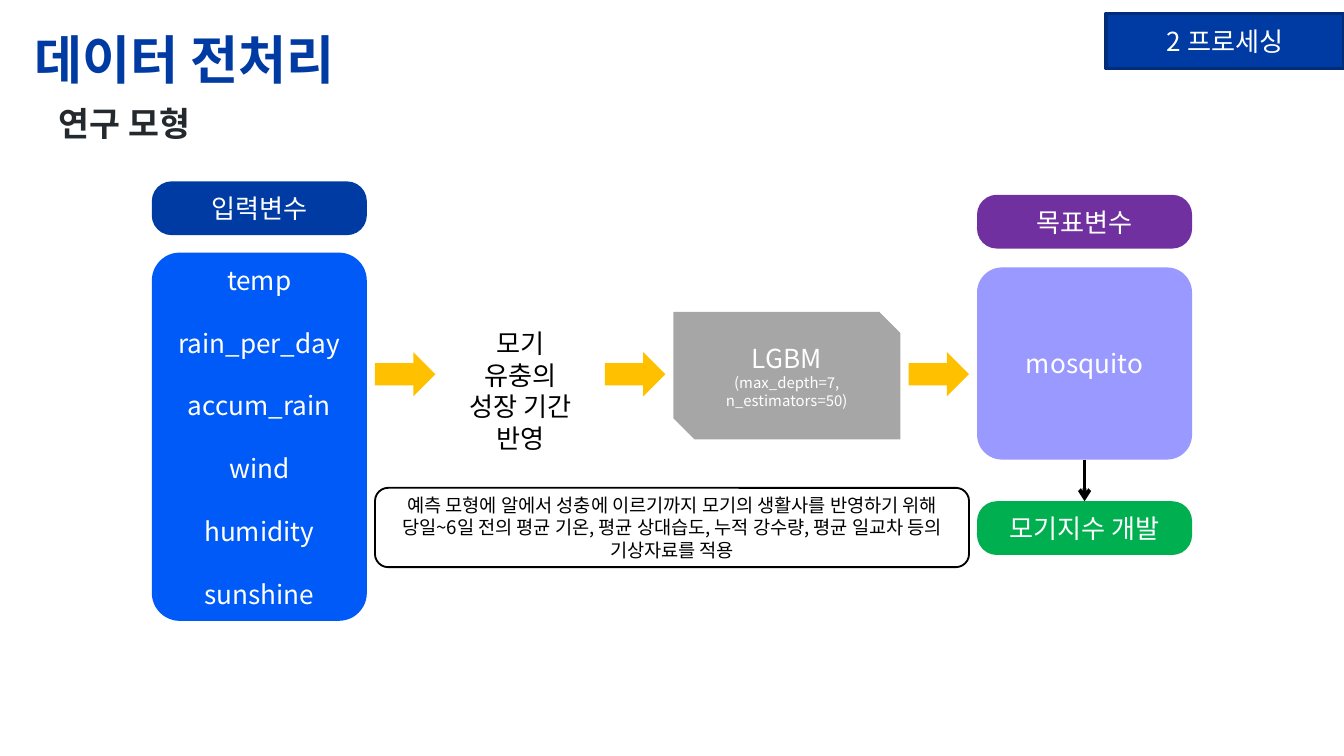
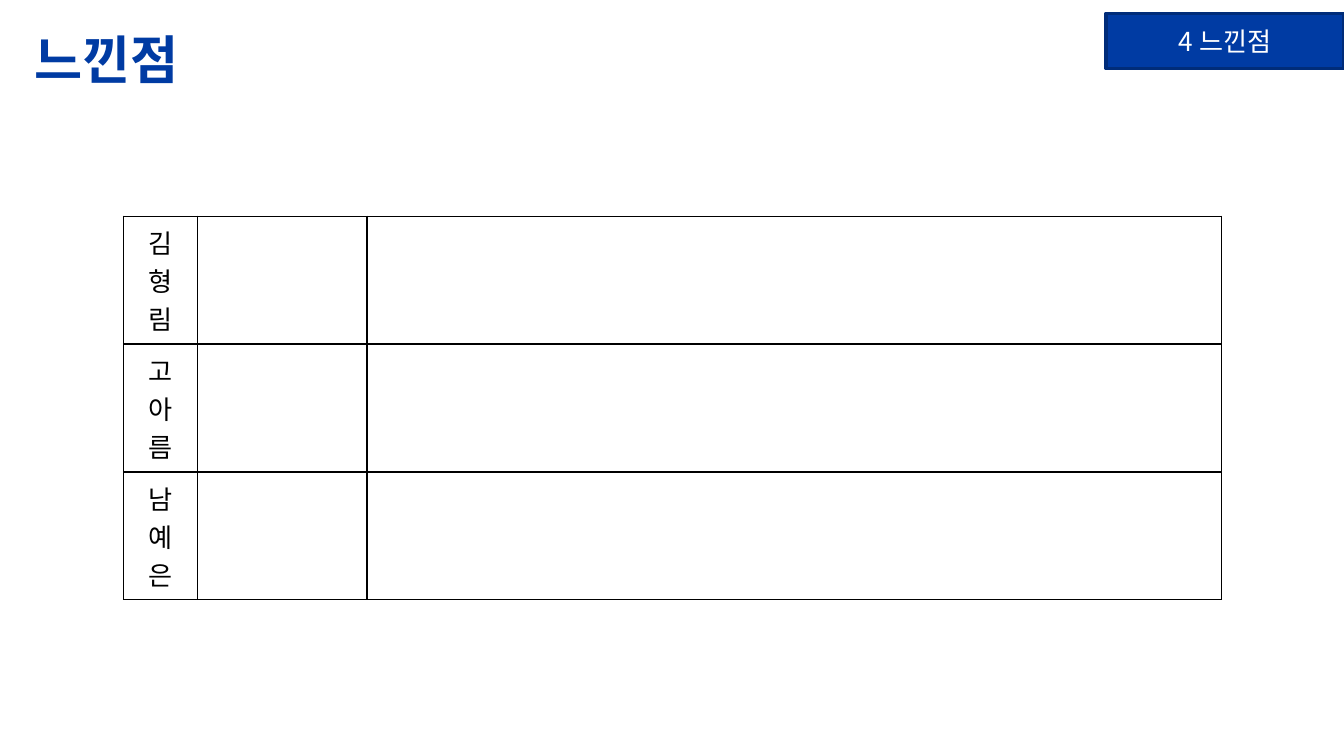
from dataclasses import dataclass

from lxml import etree
from pptx import Presentation
from pptx.dml.color import RGBColor
from pptx.enum.shapes import MSO_CONNECTOR, MSO_SHAPE
from pptx.enum.text import MSO_ANCHOR, MSO_AUTO_SIZE, PP_ALIGN
from pptx.oxml.ns import qn
from pptx.util import Inches, Pt

RECT = MSO_SHAPE.RECTANGLE
ROUND = MSO_SHAPE.ROUNDED_RECTANGLE
SNIP = MSO_SHAPE.SNIP_2_DIAG_RECTANGLE
ARROW = MSO_SHAPE.RIGHT_ARROW
STRAIGHT = MSO_CONNECTOR.STRAIGHT
LEFT, CENTER = PP_ALIGN.LEFT, PP_ALIGN.CENTER
TOP, MIDDLE = MSO_ANCHOR.TOP, MSO_ANCHOR.MIDDLE
FIXED = MSO_AUTO_SIZE.NONE
TITLE_ONLY = 5
WIDTH = 10
HEIGHT = WIDTH * 9 / 16


@dataclass(frozen=True)
class Theme:
    face: str = "Noto Sans CJK KR"
    navy: str = "003BA3"
    edge: str = "002C79"
    blue: str = "005AF7"
    ink: str = "24292E"
    black: str = "000000"
    white: str = "FFFFFF"
    gray: str = "A6A6A6"
    gold: str = "FFC000"
    purple: str = "7030A0"
    lilac: str = "9999FF"
    green: str = "00B050"
    title: int = 28
    head: int = 18
    body: int = 14
    note: int = 10
    small: int = 8
    lead: float = 1.2  # line height as a multiple of type size


T = Theme()


def rgb(code):
    return RGBColor.from_string(code)


def box(left, top, width, height):
    return [Inches(v) for v in (left, top, width, height)]


# Text
def style(para, size, color, bold=False, align=CENTER):
    para.alignment = align
    font = para.font
    font.size, font.bold, font.name = Pt(size), bold, T.face
    font.color.rgb = rgb(color)
    props = para._p.get_or_add_pPr().get_or_add_defRPr()
    etree.SubElement(props, qn("a:ea"), typeface=T.face)


def write(frame, lines, size=T.body, color=T.white, bold=False,
          align=CENTER, anchor=MIDDLE, gap=0, side=0.1):
    """Fill a frame; a line is a string or a (string, size) pair."""
    frame.word_wrap = True
    frame.auto_size = FIXED
    frame.vertical_anchor = anchor
    frame.margin_left = frame.margin_right = Inches(side)
    for i, line in enumerate(lines):
        words, points = line if isinstance(line, tuple) else (line, size)
        para = frame.add_paragraph() if i else frame.paragraphs[0]
        para.text = words
        style(para, points, color, bold, align)
        para.line_spacing = Pt(points * T.lead)
        if i and gap:
            para.space_before = Pt(gap)


def label(slide, at, lines, **look):
    frame = slide.shapes.add_textbox(*box(*at)).text_frame
    write(frame, lines, anchor=TOP, **look)


# Shapes
def block(slide, kind, at, fill=None, lines=(), adj=None,
          edge=None, weight=1, **look):
    shape = slide.shapes.add_shape(kind, *box(*at))
    shape.shadow.inherit = False
    if adj is not None:
        shape.adjustments[0] = adj
    if fill:
        shape.fill.solid()
        shape.fill.fore_color.rgb = rgb(fill)
    else:
        shape.fill.background()
    if edge:
        shape.line.color.rgb = rgb(edge)
        shape.line.width = Pt(weight)
    else:
        shape.line.fill.background()
    write(shape.text_frame, lines, **look)


def pill(slide, left, top, words, fill):
    block(slide, ROUND, (left, top, 1.6, 0.4), fill, [words], adj=0.37)


def panel(slide, left, top, height, fill, lines, gap=0):
    block(slide, ROUND, (left, top, 1.6, height), fill, lines,
          adj=0.13, gap=gap)


def link(slide, x, top, bottom):
    line = slide.shapes.add_connector(
        STRAIGHT, Inches(x), Inches(top), Inches(x), Inches(bottom))
    line.line.color.rgb = rgb(T.black)
    line.line.width = Pt(2)
    etree.SubElement(line.line._get_or_add_ln(), qn("a:tailEnd"), type="arrow")
    etree.SubElement(line._element.spPr, qn("a:effectLst"))


# Table
def border(cell):
    props = cell._tc.get_or_add_tcPr()
    for i, side in enumerate(("lnL", "lnR", "lnT", "lnB")):
        line = etree.Element(qn(f"a:{side}"), w=str(Pt(1)))
        fill = etree.SubElement(line, qn("a:solidFill"))
        etree.SubElement(fill, qn("a:srgbClr"), val=T.black)
        props.insert(i, line)


def grid(slide, left, top, widths, tall, names):
    at = box(left, top, sum(widths), tall * len(names))
    table = slide.shapes.add_table(len(names), len(widths), *at).table
    table.first_row = table.horz_banding = False
    for col, width in zip(table.columns, widths):
        col.width = Inches(width)
    for row, name in zip(table.rows, names):
        row.height = Inches(tall)
        for cell in row.cells:
            cell.fill.background()
            border(cell)
        first = row.cells[0]
        first.vertical_anchor = MIDDLE
        first.text = name
        style(first.text_frame.paragraphs[0], T.body, T.black)


# Slides
def start(deck, title, tag):
    """Add a slide with its title and section tag."""
    slide = deck.slides.add_slide(deck.slide_layouts[TITLE_ONLY])
    head = slide.shapes.title
    head.left, head.top, head.width, head.height = box(0.16, 0.1, 8.44, 0.63)
    frame = head.text_frame
    frame.margin_top = frame.margin_bottom = Inches(0.1)
    write(frame, [title], T.title, T.navy, True, LEFT, TOP)
    block(slide, RECT, (8.23, 0.1, 1.77, 0.41), T.navy, [tag],
          edge=T.edge, weight=2)
    return slide


def model(deck):
    slide = start(deck, "데이터 전처리", "2 프로세싱")
    label(slide, (0.34, 0.72, 8.75, 0.4), ["연구 모형"],
          size=T.head, color=T.ink, bold=True, align=LEFT)

    # Inputs
    panel(slide, 1.13, 1.88, 2.74, T.blue,
          ["temp", "rain_per_day", "accum_rain", "wind", "humidity",
           "sunshine"], gap=T.body * T.lead)
    pill(slide, 1.13, 1.35, "입력변수", T.navy)

    # Steps
    block(slide, SNIP, (5.01, 2.32, 1.69, 0.95), T.gray,
          ["LGBM", ("(max_depth=7, n_estimators=50)", T.small)])
    label(slide, (3.3, 2.39, 1.15, 0.81),
          ["모기 유충의", "성장 기간", "반영"], color=T.black, side=0.15)
    for left in (2.79, 4.5, 6.76):
        block(slide, ARROW, (left, 2.62, 0.45, 0.33), T.gold)

    # Target
    panel(slide, 7.27, 1.99, 1.43, T.lilac, ["mosquito"])
    pill(slide, 7.27, 1.45, "목표변수", T.purple)
    pill(slide, 7.27, 3.73, "모기지수 개발", T.green)
    link(slide, 8.07, 3.42, 3.73)

    # Note
    block(slide, ROUND, (2.79, 3.63, 4.42, 0.59), lines=[
        "예측 모형에 알에서 성충에 이르기까지 모기의 생활사를 반영하기 위해 "
        "당일~6일 전의 평균 기온, 평균 상대습도, 누적 강수량, 평균 일교차 "
        "등의 기상자료를 적용"], edge=T.black, size=T.note, color=T.black)


def review(deck):
    slide = start(deck, "느낀점", "4 느낀점")
    grid(slide, 0.92, 1.61, (0.55, 1.26, 6.36), 0.8,
         ("김형림", "고아름", "남예은"))


def main():
    deck = Presentation()
    deck.slide_width, deck.slide_height = Inches(WIDTH), Inches(HEIGHT)
    model(deck)
    review(deck)
    deck.save("out.pptx")


if __name__ == "__main__":
    main()
